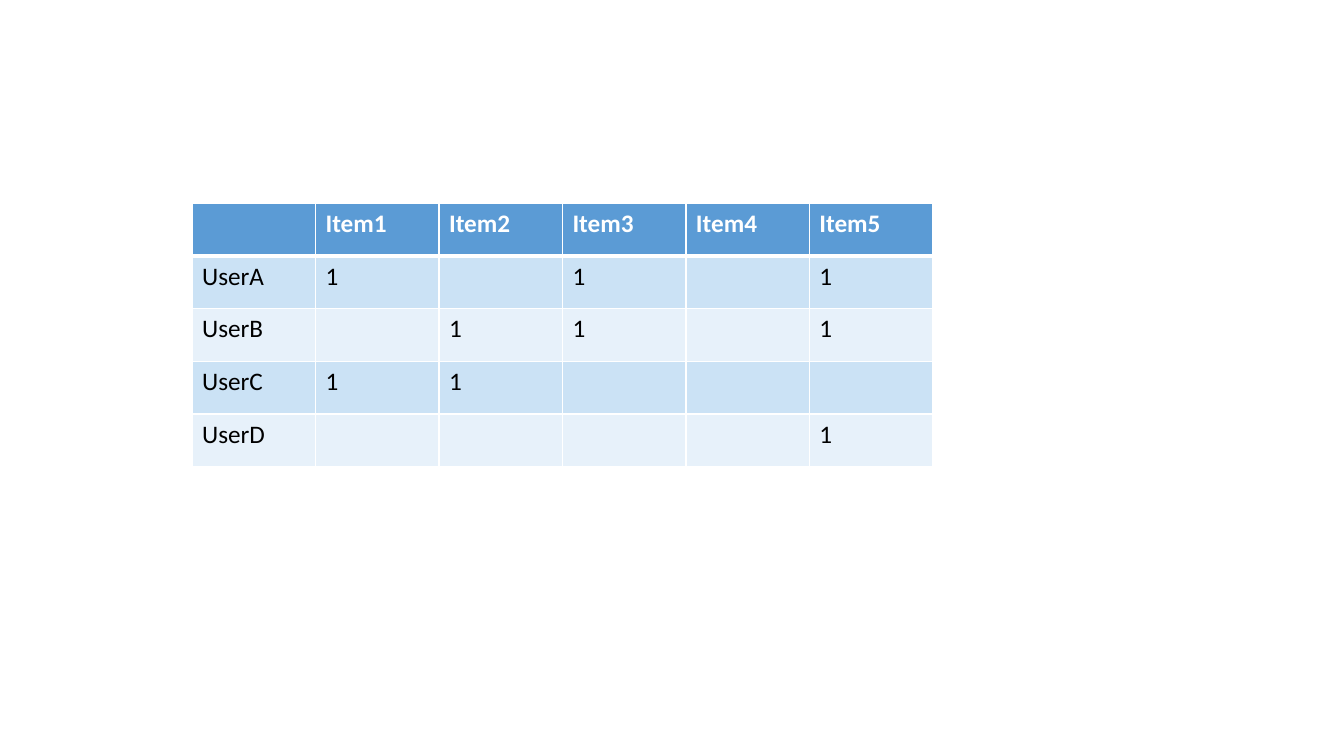
from lxml.etree import SubElement
from pptx import Presentation
from pptx.dml.color import RGBColor
from pptx.oxml.ns import qn
from pptx.util import Pt

HEAD = ["", "Item1", "Item2", "Item3", "Item4", "Item5"]
USERS = {
    "UserA": [1, 3, 5],
    "UserB": [2, 3, 5],
    "UserC": [1, 2],
    "UserD": [5],
}

WHITE = RGBColor(0xFF, 0xFF, 0xFF)
BLACK = RGBColor(0x00, 0x00, 0x00)
BLUE = RGBColor(0x5B, 0x9B, 0xD5)
BANDS = [RGBColor(0xCB, 0xE2, 0xF5), RGBColor(0xE7, 0xF1, 0xFA)]

LEFT, TOP = 137.2, 145.4
COL, ROW = 88.2, 37.6


def write(cell, text, color=BLACK, bold=False, size=18, font="Calibri"):
    para = cell.text_frame.paragraphs[0]
    para.font.size = Pt(size)
    if text:
        run = para.add_run()
        run.text = text
        run.font.name = font
        run.font.size = Pt(size)
        run.font.bold = bold
        run.font.color.rgb = color


def edge(cell, widths):
    props = cell._tc.get_or_add_tcPr()
    for side, width in widths.items():
        line = SubElement(props, qn(f"a:ln{side}"), w=str(Pt(width)))
        fill = SubElement(line, qn("a:solidFill"))
        SubElement(fill, qn("a:srgbClr"), val=str(WHITE))


def main():
    deck = Presentation()
    deck.slide_width, deck.slide_height = Pt(960), Pt(540)
    slide = deck.slides.add_slide(deck.slide_layouts[6])

    rows = [HEAD]
    for user, items in USERS.items():
        marks = ["1" if col in items else "" for col in range(1, len(HEAD))]
        rows.append([user] + marks)

    wide, high = COL * len(HEAD), ROW * len(rows)
    table = slide.shapes.add_table(
        len(rows), len(HEAD), Pt(LEFT), Pt(TOP), Pt(wide), Pt(high)
    ).table
    for col in table.columns:
        col.width = Pt(COL)

    for r, texts in enumerate(rows):
        table.rows[r].height = Pt(ROW)
        head = r == 0
        for c, text in enumerate(texts):
            cell = table.cell(r, c)
            edge(cell, {"L": 1, "R": 1, "T": 3 if r == 1 else 1, "B": 3 if head else 1})
            cell.fill.solid()
            cell.fill.fore_color.rgb = BLUE if head else BANDS[(r - 1) % 2]
            write(cell, text, color=WHITE if head else BLACK, bold=head)

    deck.save("out.pptx")


if __name__ == "__main__":
    main()
